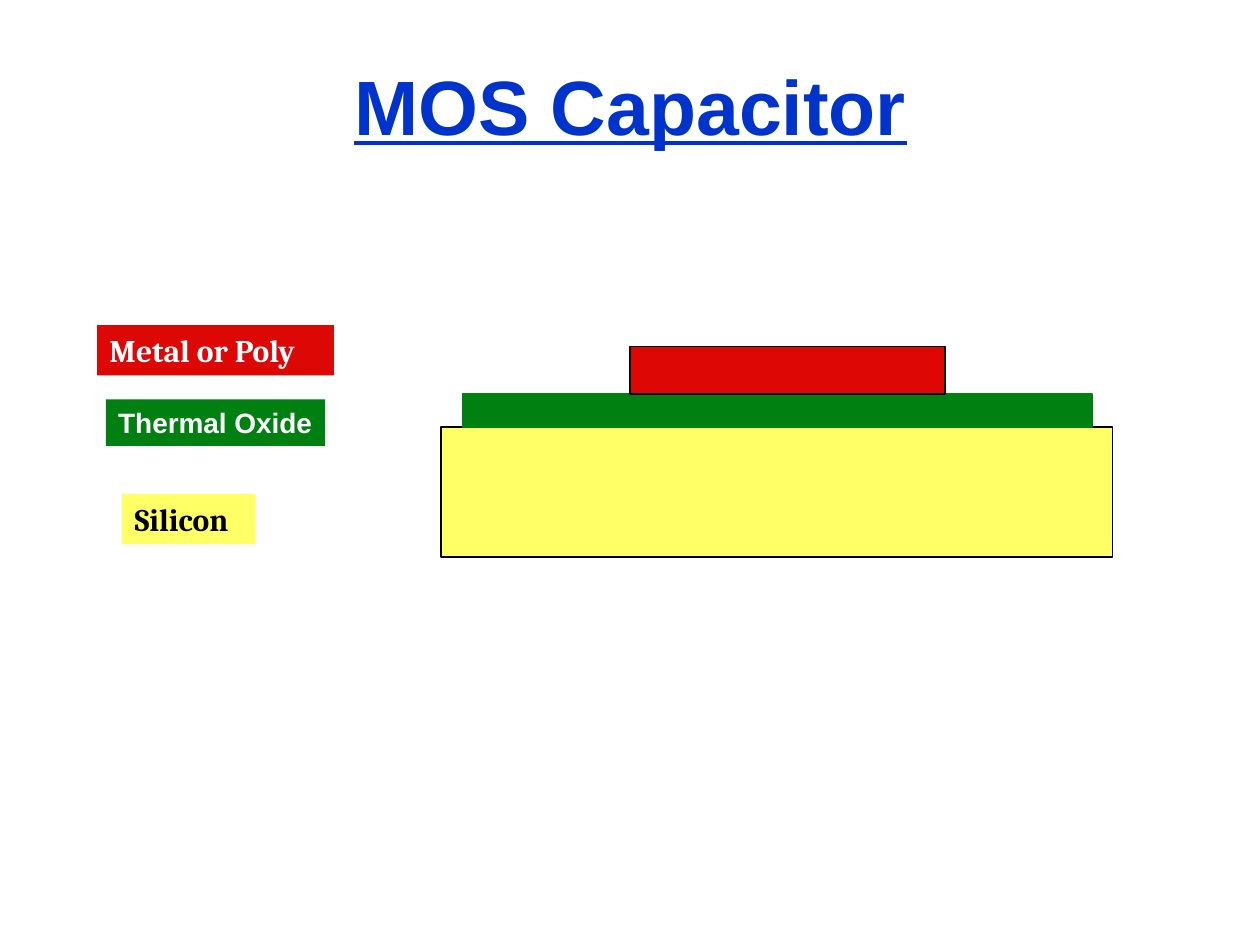
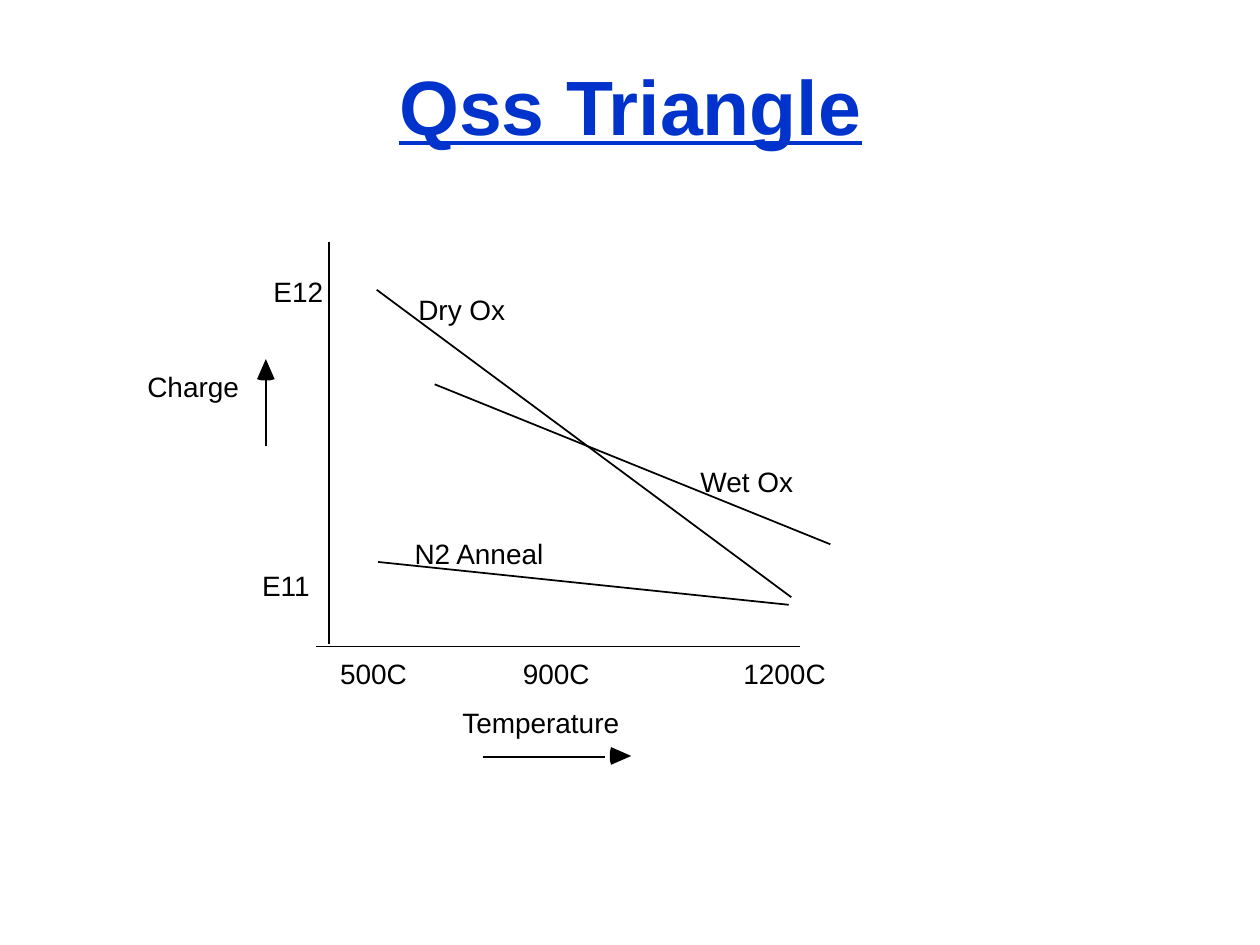
from dataclasses import dataclass

from lxml.etree import SubElement
from pptx import Presentation
from pptx.dml.color import RGBColor
from pptx.enum.shapes import MSO_CONNECTOR, MSO_SHAPE
from pptx.enum.text import MSO_ANCHOR, PP_ALIGN
from pptx.oxml.ns import qn
from pptx.util import Inches, Pt


@dataclass(frozen=True)
class Theme:
    title: RGBColor = RGBColor(0x00, 0x33, 0xCC)
    ink: RGBColor = RGBColor(0x00, 0x00, 0x00)
    white: RGBColor = RGBColor(0xFF, 0xFF, 0xFF)
    metal: RGBColor = RGBColor(0xDD, 0x08, 0x06)
    oxide: RGBColor = RGBColor(0x00, 0x80, 0x11)
    silicon: RGBColor = RGBColor(0xFF, 0xFF, 0x66)
    sans: str = "Arial"
    serif: str = "Cambria"
    title_size: int = 44
    key_size: int = 18
    label_size: int = 16
    line_width: int = 1


theme = Theme()


def add_text(slide, text, box, size=theme.label_size, color=theme.ink,
             font=theme.sans, bold=False, inset=(0, 0), fill=None):
    """Add a one-line text box; inset is (left, top). Return the box and its run."""
    shape = slide.shapes.add_textbox(*map(Inches, box))
    frame = shape.text_frame
    frame.word_wrap = True
    frame.margin_left, frame.margin_top = map(Inches, inset)
    frame.margin_right, frame.margin_bottom = 0, Inches(inset[1])
    if fill is not None:
        shape.fill.solid()
        shape.fill.fore_color.rgb = fill
    run = frame.paragraphs[0].add_run()
    run.text = text
    run.font.name = font
    run.font.size = Pt(size)
    run.font.bold = bold
    run.font.color.rgb = color
    return shape, run


def add_line(slide, start, end):
    line = slide.shapes.add_connector(
        MSO_CONNECTOR.STRAIGHT, *map(Inches, (*start, *end)))
    line.line.color.rgb = theme.ink
    line.line.width = Pt(theme.line_width)
    SubElement(line._element.spPr, qn("a:effectLst"))


prs = Presentation()
prs.slide_width, prs.slide_height = Inches(10), Inches(7.5)

# Slides with their shared title style
slides = []
for heading in ("MOS Capacitor", "Qss Triangle"):
    slide = prs.slides.add_slide(prs.slide_layouts[6])
    title, run = add_text(slide, heading, (0.42, 0.25, 9.17, 1.25),
                          theme.title_size, theme.title, bold=True)
    run.font.underline = True
    title.text_frame.vertical_anchor = MSO_ANCHOR.MIDDLE
    title.text_frame.paragraphs[0].alignment = PP_ALIGN.CENTER
    title.text_frame.paragraphs[0].line_spacing = 0.9
    slides.append(slide)
capacitor, triangle = slides

# Capacitor layers, stacked from the silicon upwards
layer_bottom = 4.42
for left, width, height, fill, outline in (
    (3.5, 5.33, 1.03, theme.silicon, theme.ink),
    (3.67, 5, 0.26, theme.oxide, theme.oxide),
    (5, 2.5, 0.38, theme.metal, theme.ink),
):
    layer_bottom -= height
    layer = capacitor.shapes.add_shape(
        MSO_SHAPE.RECTANGLE, *map(Inches, (left, layer_bottom, width, height)))
    layer.shadow.inherit = False
    layer.fill.solid()
    layer.fill.fore_color.rgb = fill
    layer.line.color.rgb = outline
    layer.line.width = Pt(theme.line_width)

# Key to the layers
for material, box, size, font, color, fill in (
    ("Metal or Poly", (0.77, 2.58, 1.88, 0.4), theme.key_size, theme.serif,
     theme.white, theme.metal),
    ("Thermal Oxide", (0.84, 3.17, 1.74, 0.37), theme.label_size, theme.sans,
     theme.white, theme.oxide),
    ("Silicon", (0.97, 3.92, 1.06, 0.4), theme.key_size, theme.serif,
     theme.ink, theme.silicon),
):
    add_text(capacitor, material, box, size, color, font, True, (0.1, 0.05), fill)

# Axes, charge curves and arrow shafts
for start, end in (
    ((2.61, 1.92), (2.61, 5.11)),  # charge axis
    ((2.51, 5.13), (6.35, 5.13)),  # temperature axis
    ((2.99, 2.3), (6.28, 4.74)),   # dry oxide
    ((3.45, 3.05), (6.59, 4.32)),  # wet oxide
    ((3, 4.46), (6.26, 4.8)),      # nitrogen anneal
    ((2.11, 3.54), (2.11, 2.93)),  # charge arrow
    ((3.83, 6.01), (4.8, 6.01)),   # temperature arrow
):
    add_line(triangle, start, end)

# Arrowheads with a rounded base
for points in (
    ((2.11, 2.85), (2.18, 3.01), (2.14, 3.02), (2.08, 3.02), (2.04, 3.01)),
    ((5.01, 6), (4.85, 6.07), (4.84, 6.03), (4.84, 5.97), (4.85, 5.93)),
):
    tip, *base = [(Inches(x), Inches(y)) for x, y in points]
    outline = triangle.shapes.build_freeform(*tip)
    outline.add_line_segments(base, close=True)
    head = outline.convert_to_shape()
    head.shadow.inherit = False
    head.fill.solid()
    head.fill.fore_color.rgb = theme.ink
    head.line.fill.background()

# Curve names, axis names and scale values
for label, left, top, width in (
    ("Dry Ox", 3.32, 2.32, 0.75),
    ("Wet Ox", 5.56, 3.69, 0.8),
    ("N2 Anneal", 3.29, 4.26, 1.1),
    ("Charge", 1.17, 2.93, 0.8),
    ("Temperature", 3.67, 5.6, 1.3),
    ("E12", 2.17, 2.18, 0.45),
    ("E11", 2.08, 4.51, 0.45),
    ("500C", 2.7, 5.21, 0.6),
    ("900C", 4.15, 5.21, 0.6),
    ("1200C", 5.9, 5.21, 0.75),
):
    add_text(triangle, label, (left, top, width, 0.27))

prs.save("out.pptx")
